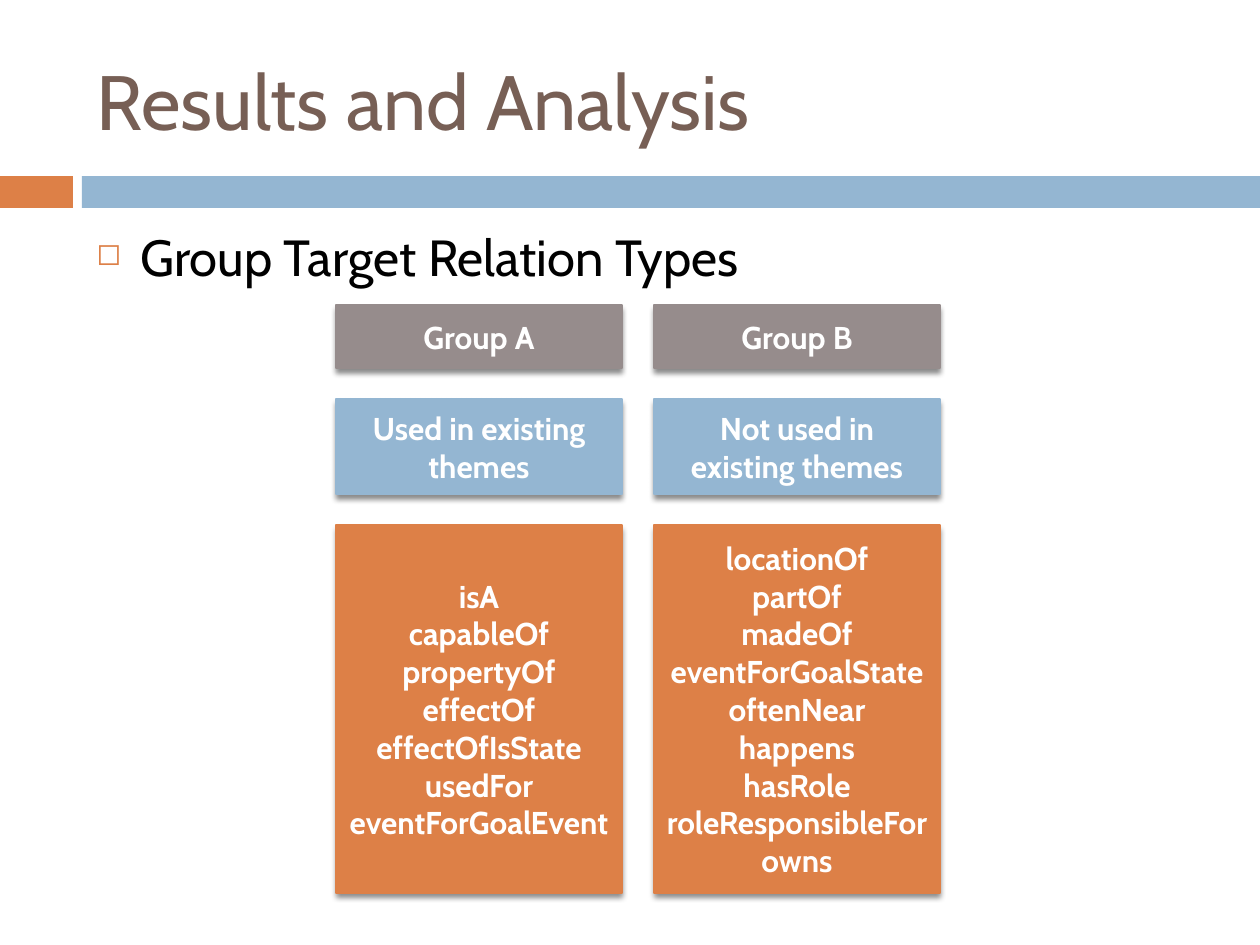
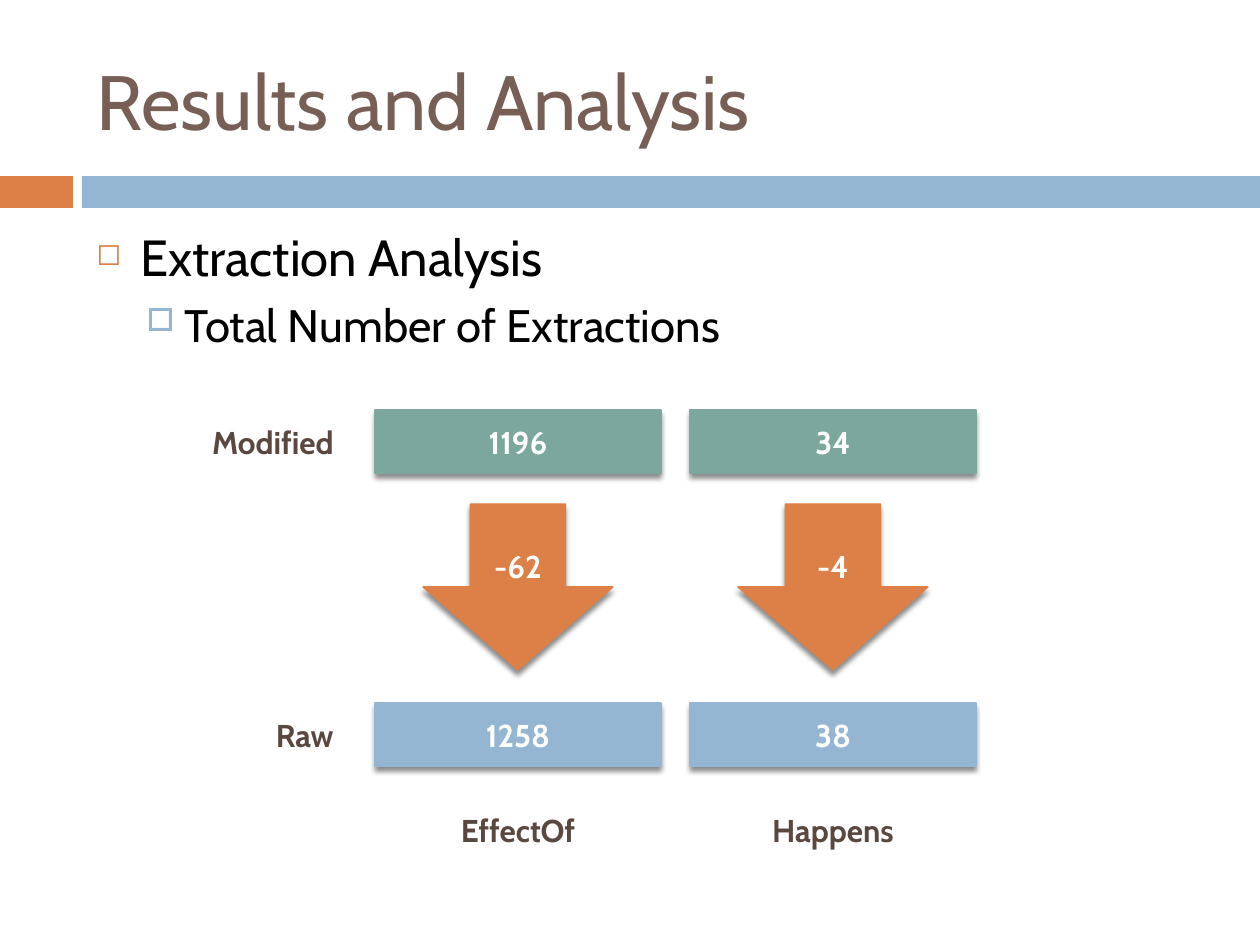
import dataclasses

import pptx
import pptx.dml.color
import pptx.enum.shapes
import pptx.enum.text
import pptx.oxml
import pptx.oxml.ns
import pptx.util
from lxml import etree

EMU_PER_PX = 914400 / 126
TITLE_ONLY = 5
BOX = pptx.enum.shapes.MSO_SHAPE.RECTANGLE
DOWN_ARROW = pptx.enum.shapes.MSO_SHAPE.DOWN_ARROW
ALIGN = pptx.enum.text.PP_ALIGN
MIDDLE = pptx.enum.text.MSO_ANCHOR.MIDDLE
qn = pptx.oxml.ns.qn


@dataclasses.dataclass(frozen=True)
class Theme:
    font: str = "Cabin"
    orange: str = "DD8047"
    blue: str = "94B6D2"
    green: str = "7BA79D"
    grey: str = "968C8C"
    brown: str = "775F55"
    dark_brown: str = "594740"
    black: str = "000000"
    white: str = "FFFFFF"
    title_size: int = 44
    bullet_sizes: tuple = (29, 26)
    label_size: int = 18
    outline: float = 0.79


THEME = Theme()

# Per bullet level: character, colour, size in percent, indent and hang in px
BULLETS = (
    {"char": "◻", "color": THEME.orange, "percent": 60,
     "indent": 44, "hang": 44, "before": 7},
    {"char": "□", "color": THEME.blue, "percent": 70,
     "indent": 88, "hang": 38, "before": 5.5},
)


# --- Units and formats ---
def px(length):
    return pptx.util.Emu(round(length * EMU_PER_PX))


def frame(left, top, width, height):
    return px(left), px(top), px(width), px(height)


def rgb(value):
    return pptx.dml.color.RGBColor.from_string(value)


def apply_format(target, values):
    for name, value in values.items():
        setattr(target, name, value)


def format_text(paragraph, size, color, bold=False, align=ALIGN.LEFT):
    paragraph.alignment = align
    apply_format(paragraph.font, {"name": THEME.font, "bold": bold,
                                  "size": pptx.util.Pt(size)})
    paragraph.font.color.rgb = rgb(color)


def add_soft_shadow(shape):
    effects = shape._element.spPr.find(qn("a:effectLst"))
    shadow = etree.SubElement(
        effects, qn("a:outerShdw"), blurRad=str(pptx.util.Pt(3)),
        dist=str(pptx.util.Pt(2.4)), dir="5400000", rotWithShape="0")
    color = etree.SubElement(shadow, qn("a:srgbClr"), val=THEME.black)
    etree.SubElement(color, qn("a:alpha"), val="45000")


# --- Kinds of element ---
def add_filled(slide, kind, area, color):
    shape = slide.shapes.add_shape(kind, *frame(*area))
    shape.shadow.inherit = False
    shape.fill.solid()
    shape.fill.fore_color.rgb = rgb(color)
    shape.line.fill.background()
    return shape


def add_block(slide, area, text, color, kind=BOX):
    block = add_filled(slide, kind, area, color)
    block.line.color.rgb = rgb(color)
    block.line.width = pptx.util.Pt(THEME.outline)
    add_soft_shadow(block)
    block.text_frame.text = text
    for paragraph in block.text_frame.paragraphs:
        format_text(paragraph, THEME.label_size, THEME.white, True, ALIGN.CENTER)


def add_label(slide, area, text, align):
    label = slide.shapes.add_textbox(*frame(*area)).text_frame
    apply_format(label, {"word_wrap": True, "vertical_anchor": MIDDLE, "text": text})
    format_text(label.paragraphs[0], THEME.label_size, THEME.dark_brown, True, align)


def add_bullets(slide, height, lines):
    body = slide.shapes.add_textbox(*frame(84, 220, 1124, height)).text_frame
    apply_format(body, {"word_wrap": True, "text": "\n".join(lines)})
    for level, paragraph in enumerate(body.paragraphs):
        bullet = BULLETS[level]
        format_text(paragraph, THEME.bullet_sizes[level], THEME.black)
        apply_format(paragraph, {"level": level,
                                 "space_before": pptx.util.Pt(bullet["before"])})
        props = paragraph._p.get_or_add_pPr()
        props.set("marL", str(px(bullet["indent"])))
        props.set("indent", str(-px(bullet["hang"])))
        color = etree.SubElement(props, qn("a:buClr"))
        etree.SubElement(color, qn("a:srgbClr"), val=bullet["color"])
        etree.SubElement(props, qn("a:buSzPct"), val=str(bullet["percent"] * 1000))
        etree.SubElement(props, qn("a:buChar"), char=bullet["char"])
        # Run defaults close the paragraph properties
        props.append(props.find(qn("a:defRPr")))


def add_results_slide(deck):
    slide = deck.slides.add_slide(deck.slide_layouts[TITLE_ONLY])
    add_filled(slide, BOX, (0, 176, 73, 32), THEME.orange)
    add_filled(slide, BOX, (82, 176, 1178, 32), THEME.blue)
    title = slide.shapes.title
    left, top, width, height = frame(84, 32, 1124, 136)
    apply_format(title, {"left": left, "top": top, "width": width, "height": height})
    apply_format(title.text_frame, {"text": "Results and Analysis",
                                    "vertical_anchor": MIDDLE})
    format_text(title.text_frame.paragraphs[0], THEME.title_size, THEME.brown)
    return slide


# --- Slides ---
def build_relation_groups(deck):
    slide = add_results_slide(deck)
    add_bullets(slide, 73, ["Group Target Relation Types"])
    left, first_top, width, pitch, gap = 336, 305, 286, 318, 31
    rows = (
        (63, THEME.grey, ("Group A", "Group B")),
        (95, THEME.blue, ("Used in existing themes", "Not used in existing themes")),
        (368, THEME.orange, (
            "isA\ncapableOf\npropertyOf\neffectOf\neffectOfIsState\nusedFor\n"
            "eventForGoalEvent",
            "locationOf\npartOf\nmadeOf\neventForGoalState\noftenNear\nhappens\n"
            "hasRole\nroleResponsibleFor\nowns")),
    )
    top = first_top
    for height, color, groups in rows:
        for column, text in enumerate(groups):
            add_block(slide, (left + column * pitch, top, width, height), text, color)
        top += height + gap


def build_extraction_totals(deck):
    slide = add_results_slide(deck)
    add_bullets(slide, 158, ["Extraction Analysis", "Total Number of Extractions"])
    left, width, height, pitch = 375, 286, 63, 315
    modified_top, change_top, raw_top, relation_top = 410, 504, 703, 798
    arrow_width, arrow_height = 190, 166
    relations = (("EffectOf", "1196", "-62", "1258"), ("Happens", "34", "-4", "38"))

    for row_name, top in (("Modified", modified_top), ("Raw", raw_top)):
        add_label(slide, (175, top, 171, height), row_name, ALIGN.RIGHT)
    for column, (relation, modified, change, raw) in enumerate(relations):
        x = left + column * pitch
        arrow_x = x + (width - arrow_width) // 2
        add_block(slide, (x, modified_top, width, height), modified, THEME.green)
        add_block(slide, (arrow_x, change_top, arrow_width, arrow_height),
                  change, THEME.orange, DOWN_ARROW)
        add_block(slide, (x, raw_top, width, height), raw, THEME.blue)
        add_label(slide, (x, relation_top, width, height), relation, ALIGN.CENTER)


def main():
    deck = pptx.Presentation()
    apply_format(deck, {"slide_width": px(1260), "slide_height": px(945)})
    build_relation_groups(deck)
    build_extraction_totals(deck)
    deck.save("out.pptx")


if __name__ == "__main__":
    main()
